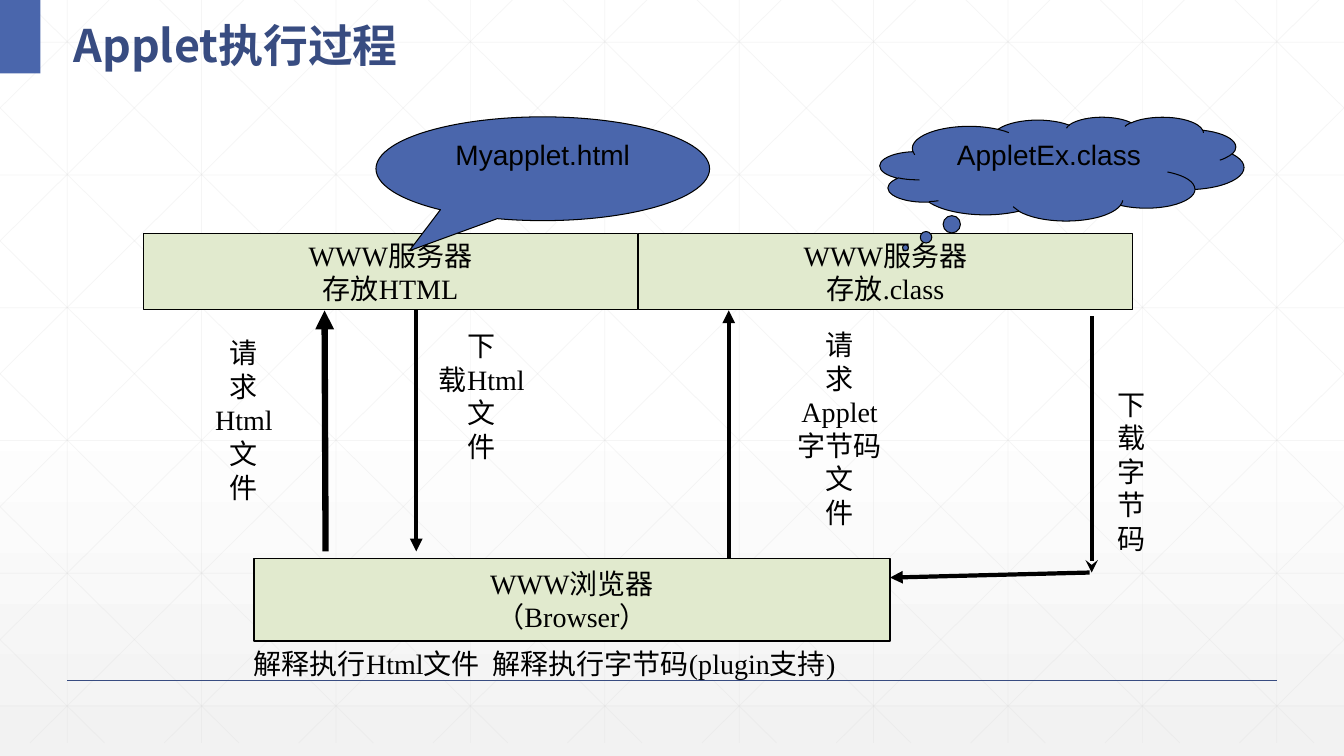
from dataclasses import dataclass
from lxml import etree
from pptx import Presentation
from pptx.dml.color import RGBColor
from pptx.enum.shapes import MSO_CONNECTOR, MSO_SHAPE
from pptx.enum.text import MSO_ANCHOR, PP_ALIGN
from pptx.oxml.ns import qn
from pptx.util import Inches, Pt

RECT = MSO_SHAPE.RECTANGLE
ELLIPSE = MSO_SHAPE.OVAL_CALLOUT
CLOUD = MSO_SHAPE.CLOUD_CALLOUT
LINE = MSO_CONNECTOR.STRAIGHT
TOP, MIDDLE = MSO_ANCHOR.TOP, MSO_ANCHOR.MIDDLE
LEFT, CENTER = PP_ALIGN.LEFT, PP_ALIGN.CENTER

WIDE, HIGH = 13.33, 7.5
COLS, ROWS = 40, 22.5


@dataclass(frozen=True)
class Theme:
    ink: str = "000000"
    navy: str = "384C81"
    blue: str = "4A66AC"
    green: str = "E1EACE"
    mesh: str = "D9D9D9"
    white: str = "FFFFFF"
    gray: str = "F2F2F2"
    serif: str = "Times New Roman"
    sans: str = "Arial"
    han: str = "Noto Sans CJK SC"
    head: int = 32
    body: int = 20


class Board:
    """Draws styled elements on one slide, measured in grid columns and rows."""

    def __init__(self, slide, theme):
        self.slide = slide
        self.theme = theme

    def place(self, x, y):
        return Inches(x * WIDE / COLS), Inches(y * HIGH / ROWS)

    def back(self):
        fill = self.slide.background.fill
        fill.gradient()
        fill.gradient_angle = 270
        tones = ((0.53, self.theme.white), (1, self.theme.gray))
        for stop, (spot, tone) in zip(fill.gradient_stops, tones):
            stop.position = spot
            stop.color.rgb = RGBColor.from_string(tone)

    def line(self, start, end, color, width, tip=None, alpha=None):
        link = self.slide.shapes.add_connector(
            LINE, *self.place(*start), *self.place(*end))
        link.line.color.rgb = RGBColor.from_string(color)
        link.line.width = Pt(width)
        props = link._element.spPr
        stroke = props.find(qn("a:ln"))
        if alpha:
            tone = stroke.find(".//" + qn("a:srgbClr"))
            etree.SubElement(tone, qn("a:alpha"), val=str(alpha * 1000))
        if tip:
            etree.SubElement(stroke, qn("a:tailEnd"), type=tip)
        etree.SubElement(props, qn("a:effectLst"))

    def words(self, frame, rows, font, size, color, align, bold=False, lead=None):
        for i, row in enumerate(rows):
            para = frame.paragraphs[0] if i == 0 else frame.add_paragraph()
            para.alignment = align
            if lead:
                para.line_spacing = lead
            run = para.add_run()
            run.text = row
            run.font.name = font
            run.font.size = Pt(size)
            run.font.bold = bold
            run.font.color.rgb = RGBColor.from_string(color)
            etree.SubElement(run._r.get_or_add_rPr(), qn("a:ea"),
                             typeface=self.theme.han)

    def shape(self, kind, x, y, w, h, fill, edge=None, rows=(), font=None,
              anchor=MIDDLE, wrap=False, tail=()):
        item = self.slide.shapes.add_shape(kind, *self.place(x, y), *self.place(w, h))
        item.shadow.inherit = False
        item.fill.solid()
        item.fill.fore_color.rgb = RGBColor.from_string(fill)
        if edge:
            item.line.color.rgb = RGBColor.from_string(self.theme.ink)
            item.line.width = Pt(edge)
        else:
            item.line.fill.background()
        for i, value in enumerate(tail):
            item.adjustments[i] = value
        frame = item.text_frame
        frame.word_wrap = wrap
        frame.vertical_anchor = anchor
        self.words(frame, rows, font or self.theme.serif, self.theme.body,
                   self.theme.ink, CENTER)

    def frame(self, x, y, w, h, anchor=TOP, wrap=True):
        box = self.slide.shapes.add_textbox(*self.place(x, y), *self.place(w, h))
        box.text_frame.word_wrap = wrap
        box.text_frame.vertical_anchor = anchor
        return box.text_frame

    def label(self, x, y, w, h, rows, align=CENTER, wrap=True):
        self.words(self.frame(x, y, w, h, wrap=wrap), rows, self.theme.serif,
                   self.theme.body, self.theme.ink, align)

    def title(self, x, y, w, h, text):
        self.words(self.frame(x, y, w, h, MIDDLE), [text], self.theme.han,
                   self.theme.head, self.theme.navy, LEFT, True, 1.3)

    def mesh(self):
        base, run, step = 22.11, 22.36, 4
        lines = [((x, 0), (x, base)) for x in range(2, COLS, step)]
        lines += [((0, 1.26 + 3.95 * i), (COLS, 1.26 + 3.95 * i)) for i in range(6)]
        for i in range(-5, 10):
            top = 0.75 + step * i
            low, high = max(top, 0), min(top + run, COLS)
            y1, y2 = ((x - top) * base / run for x in (low, high))
            lines.append(((low, y1), (high, y2)))
            lines.append(((COLS - low, y1), (COLS - high, y2)))
        for start, end in lines:
            self.line(start, end, self.theme.mesh, 0.5, alpha=25)


def main():
    deck = Presentation()
    deck.slide_width, deck.slide_height = Inches(WIDE), Inches(HIGH)
    theme = Theme()
    board = Board(deck.slides.add_slide(deck.slide_layouts[6]), theme)

    board.back()
    board.mesh()
    board.line((2, 20.25), (38, 20.25), theme.navy, 1)
    board.shape(RECT, 0, 0, 1.2, 2.19, theme.blue)
    board.title(1.89, 0, 17.07, 2.19, "Applet执行过程")

    board.shape(RECT, 7.56, 16.62, 18.93, 2.46, theme.green, 1,
                ["WWW浏览器", "（Browser）"])
    arrows = (
        ((32.49, 9.42), (32.49, 17.04), 3, "stealth"),
        ((32.43, 17.04), (26.49, 17.19), 3, "triangle"),
        ((9.69, 16.41), (9.66, 9.24), 4.5, "triangle"),
        ((12.39, 9.24), (12.39, 16.41), 3, "triangle"),
        ((21.69, 16.62), (21.69, 9.24), 3, "triangle"),
    )
    for start, end, width, tip in arrows:
        board.line(start, end, theme.ink, width, tip)

    board.label(32.97, 11.37, 1.44, 5.34, "下载字节码", LEFT, False)
    board.label(7.26, 19.08, 23.7, 1.32,
                ["解释执行Html文件  解释执行字节码(plugin支持)"], LEFT)
    board.label(5.46, 9.84, 3.6, 5.34, ["请", "求", "Html", "文", "件"])
    board.label(12.69, 9.63, 3.3, 4.35, ["下", "载Html", "文", "件"])
    board.label(22.29, 9.6, 5.4, 6.36, ["请", "求", "Applet", "字节码", "文", "件"])

    for i, store in enumerate(("存放HTML", "存放.class")):
        board.shape(RECT, 4.26 + 14.73 * i, 6.96, 14.73, 2.25, theme.green, 0.75,
                    ["WWW服务器", store])
    calls = (
        (ELLIPSE, 11.19, 9.93, "Myapplet.html", (-0.4, 0.79)),
        (CLOUD, 26.19, 10.83, "AppletEx.class", (-0.43, 0.76)),
    )
    for kind, x, w, text, tail in calls:
        board.shape(kind, x, 3.48, w, 3.09, theme.blue, 0.75, [text], theme.sans,
                    TOP, True, tail)
    deck.save("out.pptx")


if __name__ == "__main__":
    main()
